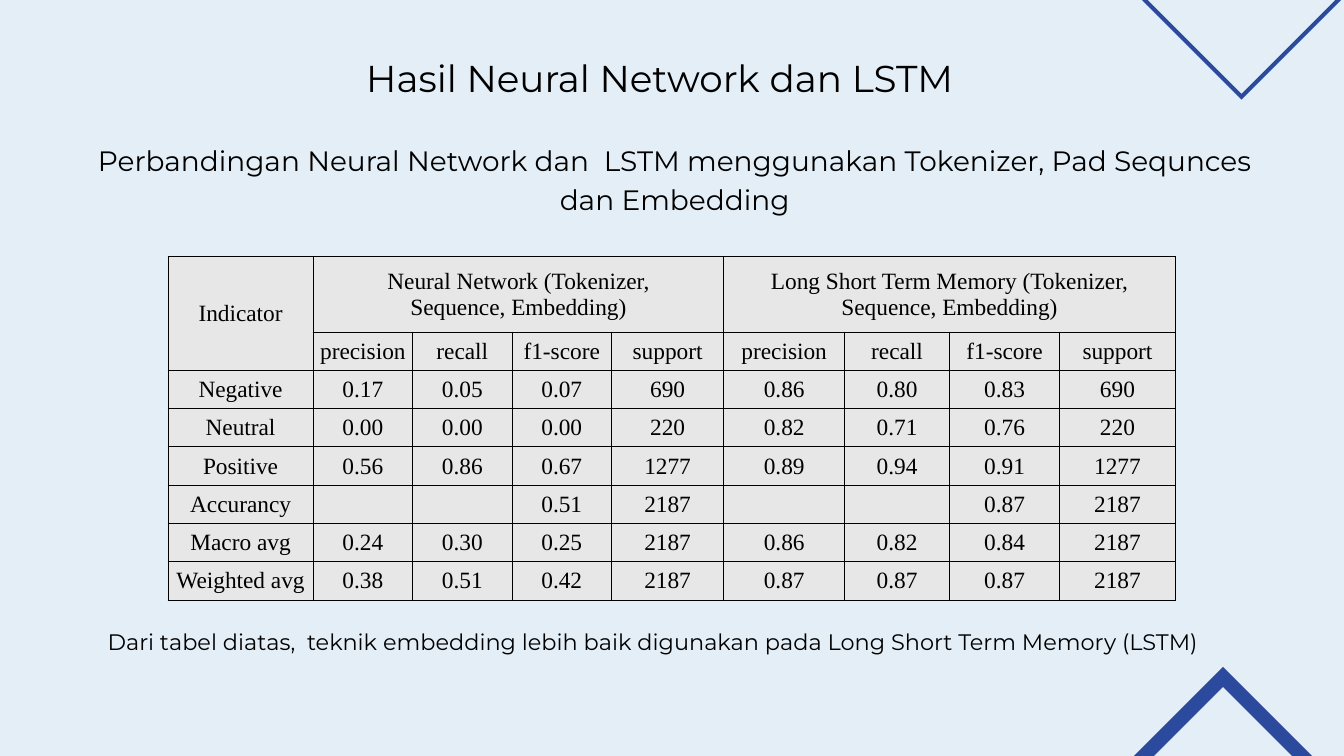
"""Builds a slide comparing neural network and LSTM scores in a table."""
from dataclasses import dataclass

from lxml import etree
from pptx import Presentation
from pptx import util as u
from pptx.dml.color import RGBColor
from pptx.enum import text
from pptx.oxml import ns

COLUMNS, ROWS = 20, 11.25
UNIT = u.Inches(1)
COLORS = {"page": "E3EEF6", "frame": "2B4A9D", "cell": "E7E7E7", "ink": "000000"}
HEADING_FONT, TABLE_FONT = "Montserrat", "Times New Roman"


@dataclass(frozen=True)
class Frame:
    left: float
    top: float
    side: float
    band: float


@dataclass(frozen=True)
class Caption:
    words: str
    left: float
    top: float
    width: float
    height: float
    size: int
    spacing: int
    align: text.PP_ALIGN = text.PP_ALIGN.CENTER


@dataclass(frozen=True)
class Model:
    title: str
    widths: tuple[float, ...]
    scores: tuple[str, ...]


FRAMES = (Frame(14.83, 11.32, 6.74, 0.21), Frame(17.43, -1.04, 2.09, 0.06))
CAPTIONS = (
    Caption("Perbandingan Neural Network dan  LSTM menggunakan Tokenizer, "
            "Pad Sequnces dan Embedding", 1.2, 2.05, 17.68, 1.16, 30, 42),
    Caption("Hasil Neural Network dan LSTM", 5.45, 0.71, 19.92, 0.74, 40, 56,
            text.PP_ALIGN.LEFT),
    Caption("Dari tabel diatas,  teknik embedding lebih baik digunakan pada "
            "Long Short Term Memory (LSTM)", -0.25, 9.16, 19.92, 0.51, 24, 42),
)
METRICS = ("precision", "recall", "f1-score", "support")
INDICATORS = ("Negative", "Neutral", "Positive", "Accurancy", "Macro avg", "Weighted avg")
INDICATOR_WIDTH, TITLE_HEIGHT, ROW_HEIGHT = 2.16, 1.12, 0.57
MODELS = (
    Model("Neural Network (Tokenizer,\nSequence, Embedding)", (1.48, 1.48, 1.48, 1.67),
          ("0.17 0.05 0.07 690", "0.00 0.00 0.00 220", "0.56 0.86 0.67 1277",
           "0.51 2187", "0.24 0.30 0.25 2187", "0.38 0.51 0.42 2187")),
    Model("Long Short Term Memory (Tokenizer, Sequence, Embedding)", (1.8, 1.56, 1.64, 1.72),
          ("0.86 0.80 0.83 690", "0.82 0.71 0.76 220", "0.89 0.94 0.91 1277",
           "0.87 2187", "0.86 0.82 0.84 2187", "0.87 0.87 0.87 2187")),
)


def grid(count: float) -> int:
    return round(count * UNIT)


def color(name: str) -> RGBColor:
    return RGBColor.from_string(COLORS[name])


def paint(fill, name: str) -> None:
    fill.solid()
    fill.fore_color.rgb = color(name)


def style(para, font: str, size: int, align: text.PP_ALIGN) -> None:
    para.alignment = align
    para.font.name = font
    para.font.size = u.Pt(size)
    para.font.color.rgb = color("ink")


def draw_frame(page, frame: Frame) -> None:
    left, top = grid(frame.left), grid(frame.top)
    side, band = grid(frame.side), grid(frame.band)
    inner = side - band
    builder = page.shapes.build_freeform(left, top)
    builder.add_line_segments([(left + side, top), (left + side, top + side),
                               (left, top + side)])
    builder.move_to(left + band, top + band)
    builder.add_line_segments([(left + band, top + inner), (left + inner, top + inner),
                               (left + inner, top + band)])
    shape = builder.convert_to_shape()
    shape.rotation = 45
    shape.shadow.inherit = False
    shape.line.fill.background()
    paint(shape.fill, "frame")


def draw_caption(page, caption: Caption) -> None:
    box = page.shapes.add_textbox(*map(grid, (caption.left, caption.top,
                                              caption.width, caption.height)))
    body = box.text_frame
    body.word_wrap = True
    body.margin_left = body.margin_right = body.margin_top = body.margin_bottom = 0
    body.text = caption.words
    para = body.paragraphs[0]
    style(para, HEADING_FONT, caption.size, caption.align)
    para.line_spacing = u.Pt(caption.spacing)


def style_cell(cell) -> None:
    cell.margin_left = cell.margin_right = cell.margin_top = grid(0.01)
    cell.margin_bottom = 0
    cell.vertical_anchor = text.MSO_ANCHOR.MIDDLE
    properties = cell._tc.get_or_add_tcPr()
    for side in "LRTB":
        line = etree.SubElement(properties, ns.qn(f"a:ln{side}"), w=str(u.Pt(1)))
        solid = etree.SubElement(line, ns.qn("a:solidFill"))
        etree.SubElement(solid, ns.qn("a:srgbClr"), val=COLORS["ink"])
    paint(cell.fill, "cell")
    for para in cell.text_frame.paragraphs:
        style(para, TABLE_FONT, 25, text.PP_ALIGN.CENTER)


def draw_table(page) -> None:
    widths = [INDICATOR_WIDTH, *(width for model in MODELS for width in model.widths)]
    heights = [TITLE_HEIGHT] + [ROW_HEIGHT] * (len(INDICATORS) + 1)
    table = page.shapes.add_table(len(heights), len(widths), grid(2.5), grid(3.82),
                                  grid(sum(widths)), grid(sum(heights))).table
    table.first_row = table.horz_banding = False
    for column, width in zip(table.columns, widths):
        column.width = grid(width)
    for row, height in zip(table.rows, heights):
        row.height = grid(height)

    table.cell(0, 0).merge(table.cell(1, 0))
    table.cell(0, 0).text = "Indicator"
    for row, indicator in enumerate(INDICATORS, 2):
        table.cell(row, 0).text = indicator
    for index, model in enumerate(MODELS):
        first = 1 + index * len(METRICS)
        last = first + len(METRICS) - 1
        table.cell(0, first).merge(table.cell(0, last))
        table.cell(0, first).text = model.title
        for row, line in enumerate((" ".join(METRICS), *model.scores), 1):
            for offset, value in enumerate(reversed(line.split())):
                table.cell(row, last - offset).text = value
    for cell in table.iter_cells():
        style_cell(cell)


def main() -> None:
    deck = Presentation()
    deck.slide_width, deck.slide_height = grid(COLUMNS), grid(ROWS)
    page = deck.slides.add_slide(deck.slide_layouts[6])
    paint(page.background.fill, "page")
    for frame in FRAMES:
        draw_frame(page, frame)
    for caption in CAPTIONS:
        draw_caption(page, caption)
    draw_table(page)
    deck.save("out.pptx")


if __name__ == "__main__":
    main()
